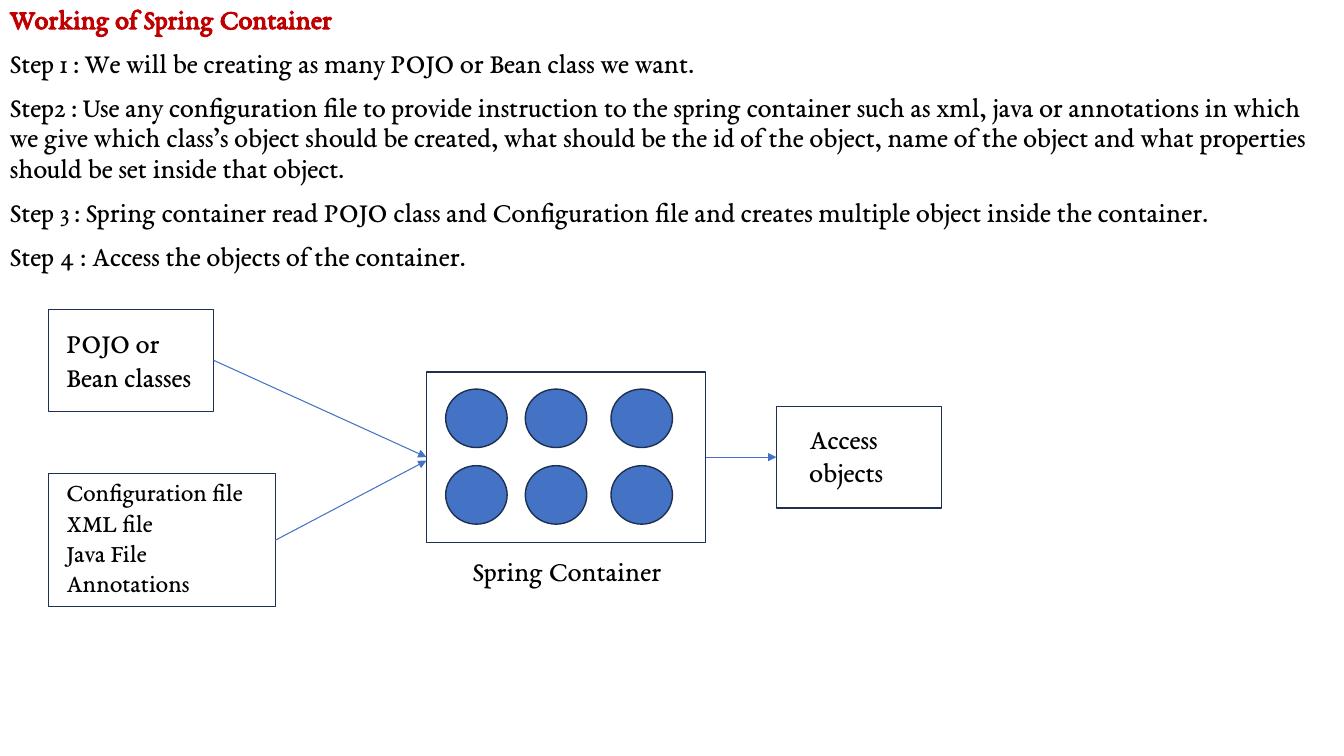
from pptx import Presentation
from pptx.dml.color import RGBColor
from pptx.enum.shapes import MSO_CONNECTOR, MSO_SHAPE
from pptx.oxml.ns import qn
from pptx.util import Pt
from lxml import etree

RECT, OVAL = MSO_SHAPE.RECTANGLE, MSO_SHAPE.OVAL
STRAIGHT = MSO_CONNECTOR.STRAIGHT
LEFT, RIGHT = 1, 3
PX = 9144  # 100 px to the inch
W, H = 1333, 750
BLUE, NAVY, RED, BLACK = "4472C4", "1C3052", "C00000", "000000"
FONT = "EB Garamond"

TITLE = "Working of Spring Container"
STEPS = [
    "Step 1 : We will be creating as many POJO or Bean class we want.",
    "Step2 : Use any configuration file to provide instruction to the spring "
    "container such as xml, java or annotations in which we give which class’s "
    "object should be created, what should be the id of the object, name of the "
    "object and what properties should be set inside that object.",
    "Step 3 : Spring container read POJO class and Configuration file and "
    "creates multiple object inside the container.",
    "Step 4 : Access the objects of the container.",
]
BOXES = {
    "pojo": (48, 307, 164, 101),
    "config": (48, 470, 225, 132),
    "container": (423, 369, 277, 169),
    "access": (770, 403, 164, 101),
}
LABELS = [
    ((56, 318, 149, 77), 20, ["POJO or Bean classes"]),
    ((56, 468, 218, 131), 18,
     ["Configuration file", "XML file", "Java File", "Annotations"]),
    ((459, 544, 225, 44), 20, ["Spring Container"]),
    ((793, 413, 119, 77), 20, ["Access objects"]),
]
BEAN_COLUMNS, BEAN_ROWS, BEAN_SIZE = (442, 521, 606), (386, 462), (61, 58)
CONFIG_ARROW_END = (423, 457)


def emu(*lengths):
    return [n * PX for n in lengths]


def color(hex_code):
    return RGBColor.from_string(hex_code)


def add_shape(kind, box, fill=None):
    sp = slide.shapes.add_shape(kind, *emu(*box))
    sp.shadow.inherit = False
    if fill:
        sp.fill.solid()
        sp.fill.fore_color.rgb = color(fill)
    else:
        sp.fill.background()
    sp.line.color.rgb = color(NAVY)
    sp.line.width = Pt(1)
    return sp


def add_text(box, lines, size):
    tf = slide.shapes.add_textbox(*emu(*box)).text_frame
    tf.word_wrap = True
    for i, line in enumerate(lines):
        p = tf.paragraphs[0] if i == 0 else tf.add_paragraph()
        r = p.add_run()
        r.text = line
        r.font.color.rgb = color(BLACK)
        for name, value in {"name": FONT, "size": Pt(size)}.items():
            setattr(r.font, name, value)
    return tf


def add_arrow(start, end=None, point=None):
    """Joins the right side of one box to the left of another, or to a point."""
    c = slide.shapes.add_connector(STRAIGHT, 0, 0, *emu(*(point or (0, 0))))
    c.begin_connect(start, RIGHT)
    if end is not None:
        c.end_connect(end, LEFT)
    c.line.color.rgb = color(BLUE)
    c.line.width = Pt(0.75)
    etree.SubElement(c.line._get_or_add_ln(), qn("a:tailEnd"), type="triangle")
    etree.SubElement(c._element.spPr, qn("a:effectLst"))


prs = Presentation()
prs.slide_width, prs.slide_height = emu(W, H)
slide = prs.slides.add_slide(prs.slide_layouts[6])

tf = add_text((0, 0, W, H), [TITLE, *STEPS], 20)
for i, p in enumerate(tf.paragraphs):
    p.line_spacing = 0.9
    if i:
        p.space_before = Pt(10)
title_font = tf.paragraphs[0].runs[0].font
title_font.bold = True
title_font.color.rgb = color(RED)

boxes = {name: add_shape(RECT, box) for name, box in BOXES.items()}
for y in BEAN_ROWS:
    for x in BEAN_COLUMNS:
        add_shape(OVAL, (x, y, *BEAN_SIZE), BLUE)
for box, size, lines in LABELS:
    add_text(box, lines, size)

add_arrow(boxes["pojo"], boxes["container"])
add_arrow(boxes["config"], point=CONFIG_ARROW_END)
add_arrow(boxes["container"], boxes["access"])

prs.save("out.pptx")
